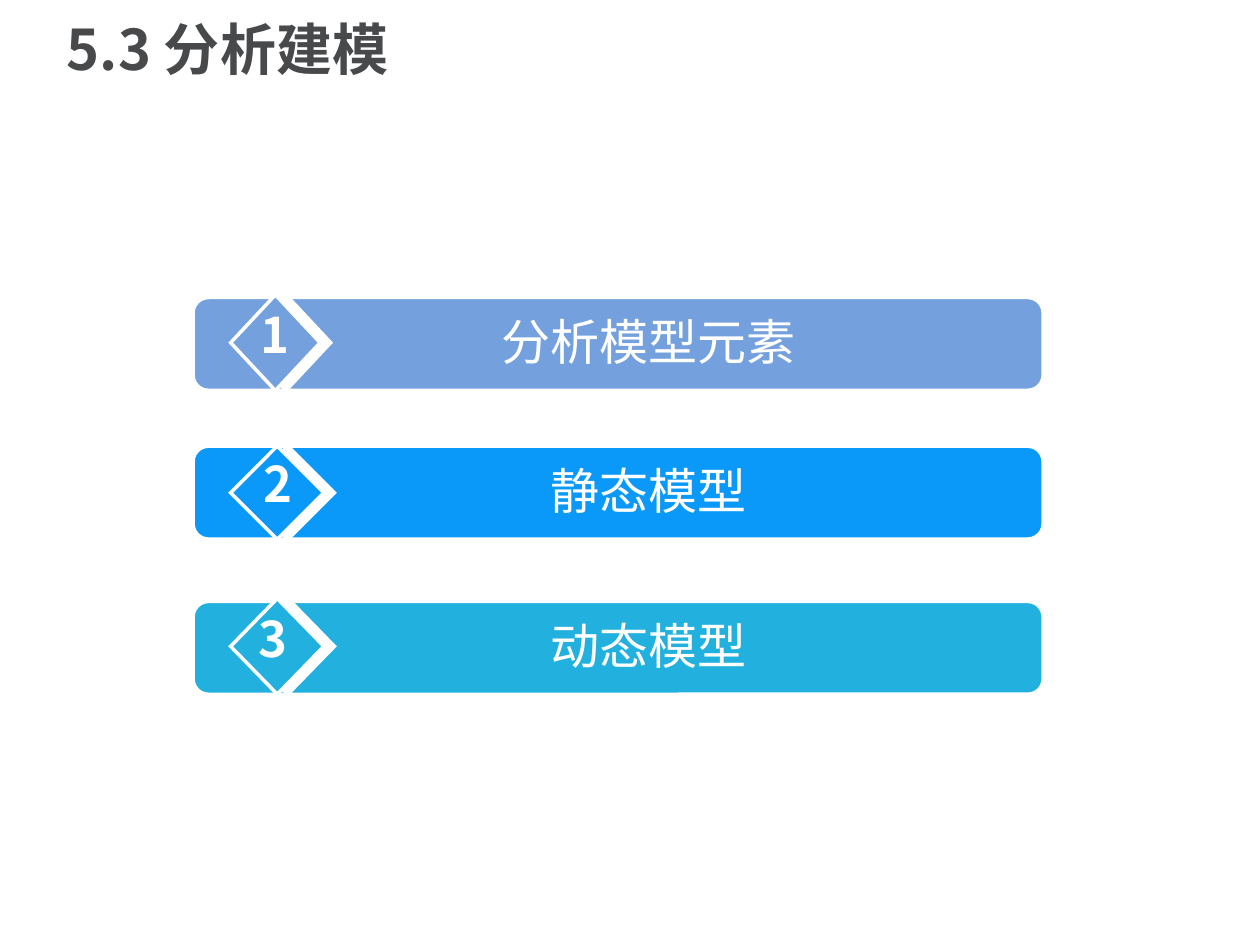
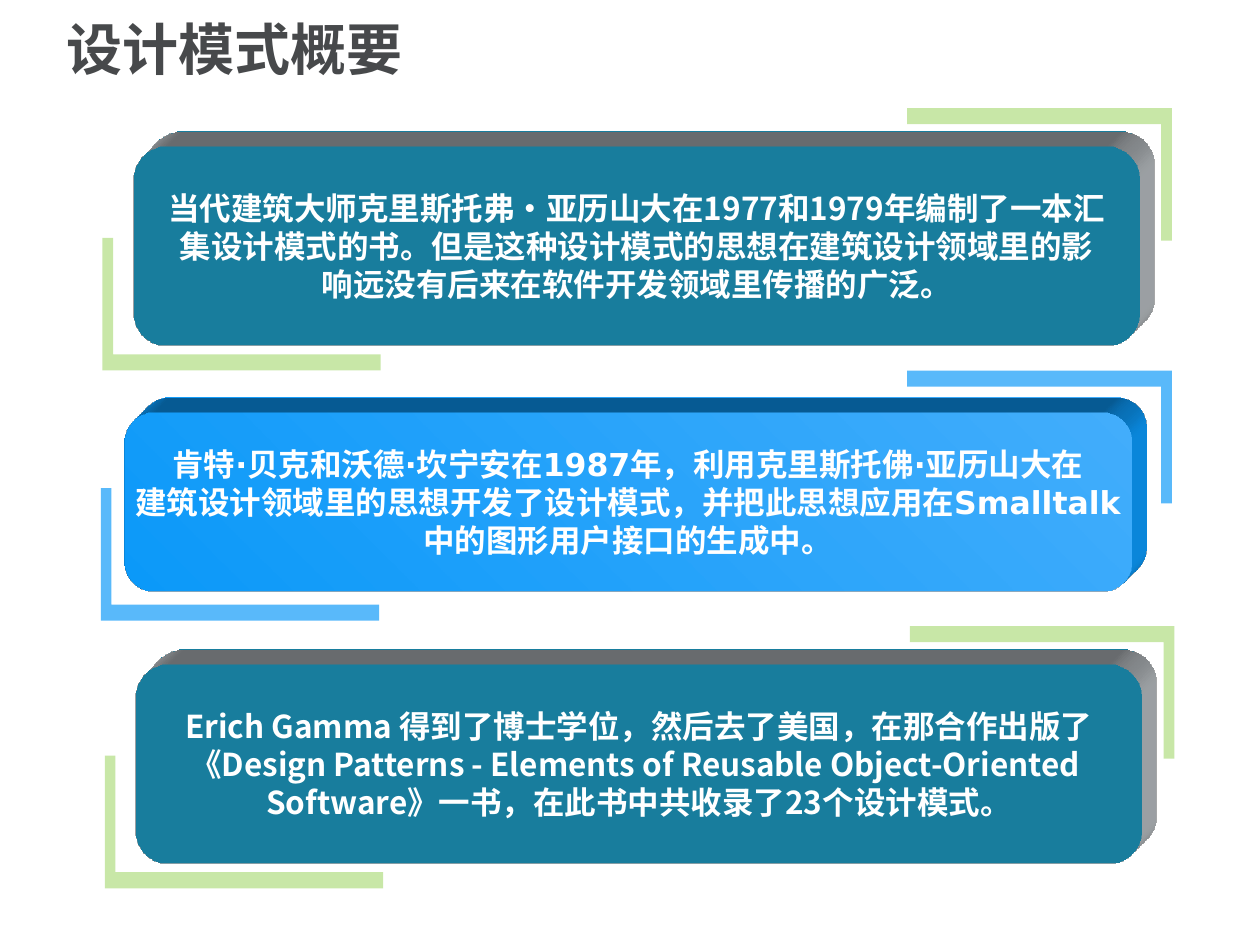
from lxml.etree import SubElement
from pptx import Presentation
from pptx.dml.color import RGBColor
from pptx.enum.shapes import MSO_SHAPE
from pptx.enum.text import MSO_ANCHOR, MSO_AUTO_SIZE, PP_ALIGN
from pptx.oxml.ns import qn
from pptx.util import Pt

COLORS = {
    "title": "47494B", "white": "FFFFFF",
    "soft_blue": "74A1DE", "blue": "0B99F9", "cyan": "22B1DE",
    "light_blue": "42ADFB", "green": "92D050", "gray": "B1B6BA",
}
CJK = "Noto Sans CJK SC"
CJK_JP = "Noto Sans CJK JP"
LATIN = "DejaVu Sans"
CARD_WIDTH = 575.3
CARD_DEPTH = 23.87


def rgb(name):
    return RGBColor.from_string(COLORS[name])


def style_text(frame, size, face, color="white", bold=False, align=PP_ALIGN.CENTER):
    for paragraph in frame.paragraphs:
        paragraph.alignment = align
        for run in paragraph.runs:
            run.font.size = Pt(size)
            run.font.bold = bold
            run.font.name = face
            run.font.color.rgb = rgb(color)
            east_asian = SubElement(run.font._element, qn("a:ea"))
            east_asian.set("typeface", CJK if face == LATIN else face)


def add_titled_slide(deck, heading):
    slide = deck.slides.add_slide(deck.slide_layouts[5])
    title = slide.shapes.title
    title.left, title.top, title.width, title.height = Pt(31), Pt(4.8), Pt(651.6), Pt(50.4)
    frame = title.text_frame
    frame.text = heading
    frame.auto_size = MSO_AUTO_SIZE.NONE
    frame.vertical_anchor = MSO_ANCHOR.MIDDLE
    frame.paragraphs[0].line_spacing = 0.9
    style_text(frame, 32, CJK, "title", True, PP_ALIGN.LEFT)
    return slide


def add_filled(slide, kind, box, color, outline=None):
    shape = slide.shapes.add_shape(kind, *map(Pt, box))
    shape.shadow.inherit = False
    shape.fill.solid()
    shape.fill.fore_color.rgb = rgb(color)
    if outline:
        shape.line.color.rgb = rgb("white")
        shape.line.width = Pt(outline)
        SubElement(shape.line._get_or_add_ln(), qn("a:miter"), lim="800000")
    else:
        shape.line.fill.background()
    return shape


def add_label(slide, box, text, bold=False):
    label = slide.shapes.add_textbox(*map(Pt, box))
    label.text_frame.word_wrap = True
    label.text_frame.text = text
    style_text(label.text_frame, 28, CJK_JP, bold=bold)


def add_white_shadow(shape, distance):
    effects = shape._element.spPr.find(qn("a:effectLst"))
    shadow = SubElement(effects, qn("a:outerShdw"), dist=str(Pt(distance)),
                        dir="0", algn="ctr", rotWithShape="0")
    SubElement(shadow, qn("a:srgbClr"), val=COLORS["white"])


def add_agenda_row(slide, number, text, color, top, diamond, number_left):
    diamond_top, width, height = diamond
    add_filled(slide, MSO_SHAPE.ROUNDED_RECTANGLE, (110.2, top, 486, 53.3), color, 2.25)
    badge = add_filled(slide, MSO_SHAPE.DIAMOND,
                       (131.8, diamond_top, width, height), color, 2)
    add_white_shadow(badge, 6)
    add_label(slide, (number_left, top + 0.5, 34.6, 41), number, True)
    add_label(slide, (169, top + 4.6, 403.2, 41), text)


def add_bracket(slide, corner, length, toward, color, opacity):
    x, y = corner
    reach, rise = toward * length, -toward * 75.8
    bar, post = -toward * 9.2, toward * 6.1
    points = [(x + post, y + bar), (x + post, y + rise), (x, y + rise),
              (x, y), (x + reach, y), (x + reach, y + bar)]
    corners = [(Pt(across), Pt(down)) for across, down in points]
    builder = slide.shapes.build_freeform(*corners[0], scale=1.0)
    builder.add_line_segments(corners[1:], close=True)
    bracket = builder.convert_to_shape()
    bracket.shadow.inherit = False
    bracket.line.fill.background()
    bracket.fill.solid()
    bracket.fill.fore_color.rgb = rgb(color)
    tint = bracket._element.spPr.find(".//" + qn("a:srgbClr"))
    SubElement(tint, qn("a:alpha"), val=str(opacity * 1000))


def extrude(shape, color):
    properties = shape._element.spPr
    scene = SubElement(properties, qn("a:scene3d"))
    SubElement(scene, qn("a:camera"), prst="legacyObliqueTopRight")
    SubElement(scene, qn("a:lightRig"), rig="legacyFlat3", dir="b")
    solid = SubElement(properties, qn("a:sp3d"), extrusionH=str(Pt(CARD_DEPTH)),
                       prstMaterial="legacyMatte")
    for bevel in ("a:bevelT", "a:bevelB"):
        SubElement(solid, qn(bevel), w="13500", h="13500", prst="angle")
    side = SubElement(solid, qn("a:extrusionClr"))
    SubElement(side, qn("a:srgbClr"), val=COLORS[color])


def add_card(slide, lines, left, top, height, brackets, blue=False):
    lower, upper = brackets
    accent, opacity = ("blue", 68) if blue else ("green", 50)
    add_bracket(slide, lower, 159, 1, accent, opacity)
    add_bracket(slide, upper, 151.2, -1, accent, opacity)
    card = add_filled(slide, MSO_SHAPE.ROUNDED_RECTANGLE,
                      (left, top, CARD_WIDTH, height), "cyan")
    if blue:
        card.fill.gradient()
        card.fill.gradient_angle = 45
        for stop, color in zip(card.fill.gradient_stops, ("blue", "light_blue")):
            stop.color.rgb = rgb(color)
    extrude(card, "blue" if blue else "gray")
    frame = card.text_frame
    frame.word_wrap = False
    frame.vertical_anchor = MSO_ANCHOR.MIDDLE
    frame.text = "\n".join(lines)
    style_text(frame, 18, LATIN if blue else CJK, bold=True)


def main():
    deck = Presentation()
    deck.slide_width, deck.slide_height = Pt(720), Pt(540)

    modeling = add_titled_slide(deck, "5.3 分析建模")
    add_agenda_row(modeling, "1", "分析模型元素", "soft_blue", 169.9, (168.5, 51.1, 54.7), 139.7)
    add_agenda_row(modeling, "2", "静态模型", "blue", 254.9, (254.9, 53.3, 53.3), 141.4)
    add_agenda_row(modeling, "3", "动态模型", "cyan", 343.6, (342, 53.3, 54.7), 138.6)

    patterns = add_titled_slide(deck, "设计模式概要")
    add_card(patterns, [
        "当代建筑大师克里斯托弗·亚历山大在1977和1979年编制了一本汇",
        "集设计模式的书。但是这种设计模式的思想在建筑设计领域里的影",
        "响远没有后来在软件开发领域里传播的广泛。",
    ], 76.1, 83.7, 113.8, [(58.5, 211.7), (669.6, 61.8)])
    add_card(patterns, [
        "肯特·贝克和沃德·坎宁安在1987年，利用克里斯托佛·亚历山大在",
        "建筑设计领域里的思想开发了设计模式，并把此思想应用在Smalltalk",
        "中的图形用户接口的生成中。",
    ], 71.2, 235.6, 102.4, [(57.6, 354.7), (669.6, 211.8)], blue=True)
    add_card(patterns, [
        "Erich Gamma 得到了博士学位，然后去了美国，在那合作出版了",
        "《Design Patterns - Elements of Reusable Object-Oriented ",
        "Software》一书，在此书中共收录了23个设计模式。",
    ], 77.4, 379.6, 113.8, [(59.9, 507.6), (671.1, 357.8)])

    deck.save("out.pptx")


if __name__ == "__main__":
    main()
